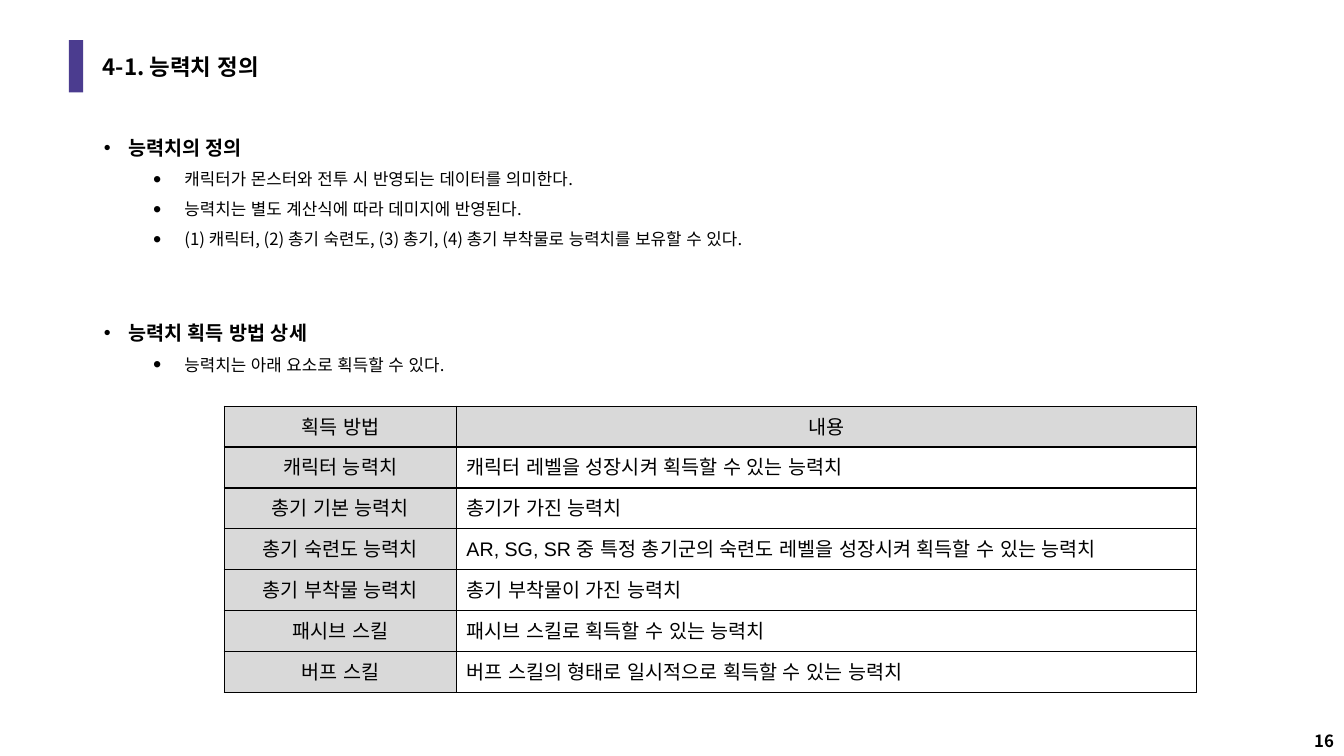
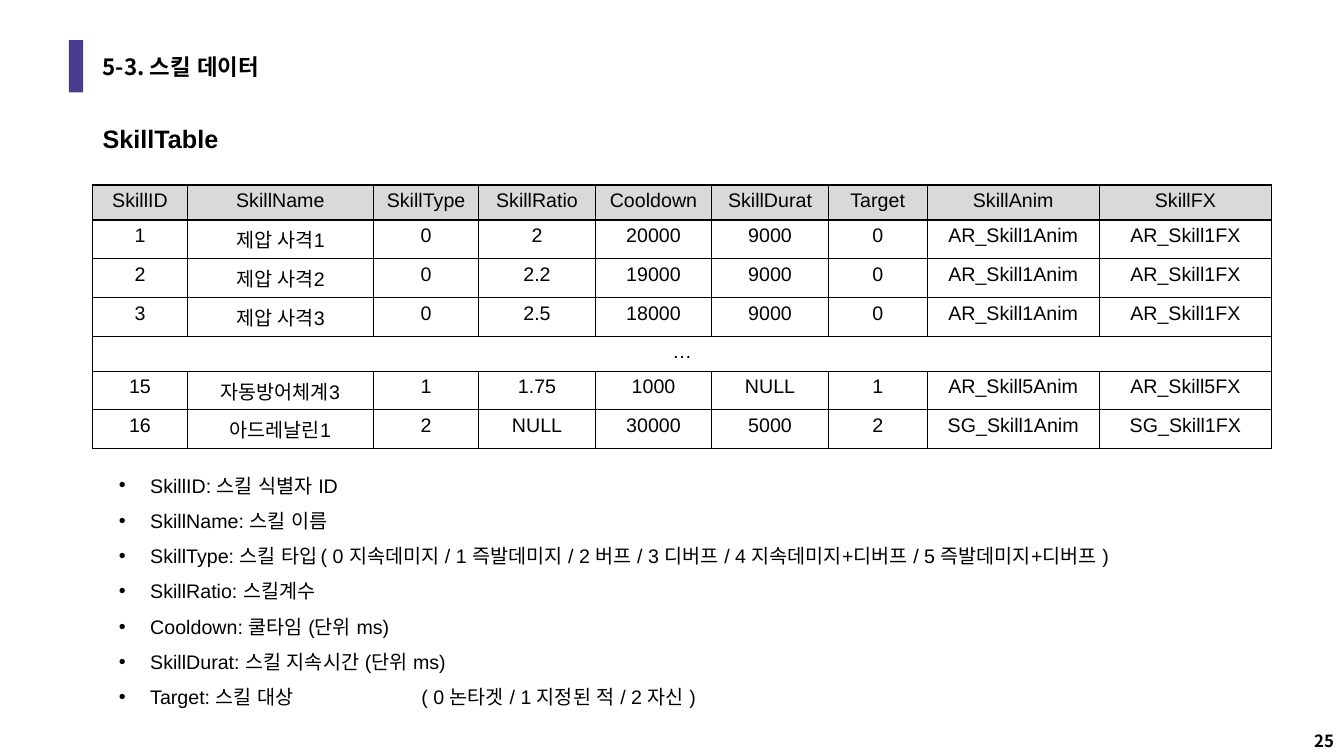
from dataclasses import dataclass
from lxml import etree
from pptx import Presentation
from pptx.dml.color import RGBColor
from pptx.enum.shapes import MSO_SHAPE
from pptx.enum.text import MSO_ANCHOR, MSO_AUTO_SIZE, PP_ALIGN
from pptx.oxml.ns import qn
from pptx.util import Emu, Inches, Pt

RECTANGLE = MSO_SHAPE.RECTANGLE
TOP, MIDDLE, BOTTOM = MSO_ANCHOR.TOP, MSO_ANCHOR.MIDDLE, MSO_ANCHOR.BOTTOM
LEFT, CENTER, RIGHT = PP_ALIGN.LEFT, PP_ALIGN.CENTER, PP_ALIGN.RIGHT
NO_FIT = MSO_AUTO_SIZE.NONE
TITLE_AND_CONTENT = 1


@dataclass(frozen=True)
class Theme:
    """Colours, fonts, type sizes and shared places in percent of the slide."""
    ink: str = "000000"
    accent: str = "4B3C8F"
    header: str = "D9D9D9"
    korean: str = "Noto Sans CJK KR"
    latin: str = "Arial"
    title: int = 20
    subtitle: int = 18
    text: int = 14
    small: int = 12
    bar_at: tuple = (5.13, 5.33, 1.05, 6.9)
    title_at: tuple = (6.9, 5.33, 86.27, 6.93)
    page_at: tuple = (93.1, 94.67, 6.9, 5.33)


THEME = Theme()
HEADING = {"size": THEME.text, "font": THEME.korean, "bold": True,
           "indent": (0.25, -0.24), "spacing": {"line_spacing": 1.5}}
DETAIL = {"size": THEME.small, "font": THEME.korean, "level": 1, "bullet_size": 140,
          "indent": (0.81, -0.31), "spacing": {"space_before": Pt(7)}}
FIELD = {"size": THEME.text, "font": THEME.latin,
         "indent": (0.31, -0.31), "spacing": {"line_spacing": 1.5, "space_before": Pt(0)}}
LATER_HEADING = HEADING | {"spacing": {"line_spacing": 1.5, "space_before": Pt(43)}}

DEFINITION = [
    ("능력치의 정의", HEADING),
    ("캐릭터가 몬스터와 전투 시 반영되는 데이터를 의미한다.", DETAIL),
    ("능력치는 별도 계산식에 따라 데미지에 반영된다.", DETAIL),
    ("(1) 캐릭터, (2) 총기 숙련도, (3) 총기, (4) 총기 부착물로 능력치를 보유할 수 있다.", DETAIL),
    ("능력치 획득 방법 상세", LATER_HEADING),
    ("능력치는 아래 요소로 획득할 수 있다.", DETAIL),
]
METHODS = [
    ("획득 방법", "내용"),
    ("캐릭터 능력치", "캐릭터 레벨을 성장시켜 획득할 수 있는 능력치"),
    ("총기 기본 능력치", "총기가 가진 능력치"),
    ("총기 숙련도 능력치", "AR, SG, SR 중 특정 총기군의 숙련도 레벨을 성장시켜 획득할 수 있는 능력치"),
    ("총기 부착물 능력치", "총기 부착물이 가진 능력치"),
    ("패시브 스킬", "패시브 스킬로 획득할 수 있는 능력치"),
    ("버프 스킬", "버프 스킬의 형태로 일시적으로 획득할 수 있는 능력치"),
]
SKILLS = [
    ("SkillID", "SkillName", "SkillType", "SkillRatio", "Cooldown", "SkillDurat",
     "Target", "SkillAnim", "SkillFX"),
    ("1", "제압 사격1", "0", "2", "20000", "9000", "0", "AR_Skill1Anim", "AR_Skill1FX"),
    ("2", "제압 사격2", "0", "2.2", "19000", "9000", "0", "AR_Skill1Anim", "AR_Skill1FX"),
    ("3", "제압 사격3", "0", "2.5", "18000", "9000", "0", "AR_Skill1Anim", "AR_Skill1FX"),
    ("…",),
    ("15", "자동방어체계3", "1", "1.75", "1000", "NULL", "1", "AR_Skill5Anim", "AR_Skill5FX"),
    ("16", "아드레날린1", "2", "NULL", "30000", "5000", "2", "SG_Skill1Anim", "SG_Skill1FX"),
]
FIELDS = [
    "SkillID: 스킬 식별자 ID",
    "SkillName: 스킬 이름",
    "SkillType: 스킬 타입\t( 0 지속데미지 / 1 즉발데미지 / 2 버프 / 3 디버프 / "
    "4 지속데미지+디버프 / 5 즉발데미지+디버프 )",
    "SkillRatio: 스킬계수",
    "Cooldown: 쿨타임 (단위 ms)",
    "SkillDurat: 스킬 지속시간 (단위 ms)",
    "Target: 스킬 대상\t\t( 0 논타겟 / 1 지정된 적 / 2 자신 )",
]


def across(deck, share):
    """Turn a percentage of the slide width into a length."""
    return Emu(round(deck.slide_width * share / 100))


def down(deck, share):
    """Turn a percentage of the slide height into a length."""
    return Emu(round(deck.slide_height * share / 100))


def area(deck, at):
    """Turn left, top, width and height percentages into lengths."""
    left, top, width, height = at
    return across(deck, left), down(deck, top), across(deck, width), down(deck, height)


def set_all(target, values):
    """Set each named attribute of the target."""
    for name, value in values.items():
        setattr(target, name, value)


def move(deck, shape, at):
    """Place a shape on the percentage grid."""
    set_all(shape, dict(zip(("left", "top", "width", "height"), area(deck, at))))


def write(para, text, size, font, bold=False):
    """Add one formatted run to a paragraph and return it."""
    span = para.add_run()
    span.text = text
    set_all(span.font, {"size": Pt(size), "name": font, "bold": bold})
    span.font.color.rgb = RGBColor.from_string(THEME.ink)
    props = span._r.get_or_add_rPr()
    props.set("lang", "ko-KR")
    etree.SubElement(props, qn("a:ea"), typeface=THEME.korean)
    return span


def add_fill(parent, colour):
    """Append a solid colour to an XML element."""
    fill = etree.SubElement(parent, qn("a:solidFill"))
    etree.SubElement(fill, qn("a:srgbClr"), val=colour)


def add_bullet(para, indent, size=100):
    """Give a paragraph a round bullet, a hanging indent and one-inch tabs."""
    props = para._p.get_or_add_pPr()
    for name, length in zip(("marL", "indent", "defTabSz"), (*indent, 1)):
        props.set(name, str(Inches(length)))
    colour = etree.SubElement(props, qn("a:buClr"))
    etree.SubElement(colour, qn("a:srgbClr"), val=THEME.ink)
    etree.SubElement(props, qn("a:buSzPct"), val=str(size * 1000))
    etree.SubElement(props, qn("a:buFont"), typeface=THEME.latin)
    etree.SubElement(props, qn("a:buChar"), char="•")


def add_label(deck, page, text, at, size, font, align=LEFT, anchor=TOP):
    """Add a bold one-line text box."""
    box = page.shapes.add_textbox(*area(deck, at))
    set_all(box.text_frame, {"word_wrap": True, "vertical_anchor": anchor})
    para = box.text_frame.paragraphs[0]
    para.alignment = align
    write(para, text, size, font, True)


def add_page(deck, title, number):
    """Add a page with its accent bar, title and page number."""
    page = deck.slides.add_slide(deck.slide_layouts[TITLE_AND_CONTENT])
    bar = page.shapes.add_shape(RECTANGLE, *area(deck, THEME.bar_at))
    bar.shadow.inherit = False
    bar.fill.solid()
    bar.fill.fore_color.rgb = RGBColor.from_string(THEME.accent)
    bar.line.fill.background()
    heading = page.shapes.title
    move(deck, heading, THEME.title_at)
    set_all(heading.text_frame, {"vertical_anchor": MIDDLE, "auto_size": NO_FIT})
    para = heading.text_frame.paragraphs[0]
    set_all(para, {"alignment": LEFT, "line_spacing": 0.9})
    span = write(para, title, THEME.title, THEME.korean, True)
    span._r.get_or_add_rPr().set("cap", "small")
    add_label(deck, page, number, THEME.page_at, THEME.small, THEME.korean, RIGHT, BOTTOM)
    return page


def fill_list(deck, page, at, items):
    """Fill the body placeholder with bulleted paragraphs."""
    body = page.placeholders[1]
    move(deck, body, at)
    frame = body.text_frame
    set_all(frame, {"word_wrap": True, "auto_size": NO_FIT, "vertical_anchor": TOP})
    for index, (text, style) in enumerate(items):
        para = frame.add_paragraph() if index else frame.paragraphs[0]
        para.level = style.get("level", 0)
        set_all(para, style["spacing"])
        add_bullet(para, style["indent"], style.get("bullet_size", 100))
        write(para, text, style["size"], style["font"], style.get("bold", False))


def format_cell(cell, shaded):
    """Give a cell its borders and its fill."""
    props = cell._tc.get_or_add_tcPr()
    for side in ("lnL", "lnR", "lnT", "lnB"):
        add_fill(etree.SubElement(props, qn(f"a:{side}"), w=str(Pt(1))), THEME.ink)
    if shaded:
        cell.fill.solid()
        cell.fill.fore_color.rgb = RGBColor.from_string(THEME.header)
    else:
        cell.fill.background()


def add_grid(deck, page, corner, columns, heights, rows, row_headers=False):
    """Add a bordered table; a row with one value spans all columns."""
    at = (*corner, sum(columns), sum(heights))
    table = page.shapes.add_table(len(rows), len(columns), *area(deck, at)).table
    set_all(table, {"first_row": False, "horz_banding": False})
    for column, share in zip(table.columns, columns):
        column.width = across(deck, share)
    for top, values in enumerate(rows):
        table.rows[top].height = down(deck, heights[top])
        for left in range(len(columns)):
            format_cell(table.cell(top, left), top == 0 or (row_headers and left == 0))
        if len(values) == 1:
            table.cell(top, 0).merge(table.cell(top, len(columns) - 1))
        for left, text in enumerate(values):
            para = table.cell(top, left).text_frame.paragraphs[0]
            para.alignment = LEFT if row_headers and top and left else CENTER
            write(para, text, THEME.text, THEME.latin)


def add_ability_page(deck):
    """Build the page that defines abilities."""
    page = add_page(deck, "4-1. 능력치 정의", "16")
    fill_list(deck, page, (6.9, 15.73, 86.27, 44.13), DEFINITION)
    heights = [5.41] * len(METHODS)
    add_grid(deck, page, (16.68, 53.73), (17.28, 55.06), heights, METHODS, row_headers=True)


def add_skill_page(deck):
    """Build the page that lists the skill data."""
    page = add_page(deck, "5-3. 스킬 데이터", "25")
    columns = (7.04, 13.85, 7.84, 8.67, 8.67, 8.67, 7.36, 12.81, 12.81)
    heights = [5.12 if row[0].isdigit() else 4.63 for row in SKILLS]
    add_grid(deck, page, (6.9, 24.48), columns, heights, SKILLS)
    add_label(deck, page, "SkillTable", (6.9, 15.6, 12, 5.33), THEME.subtitle, THEME.latin)
    fill_list(deck, page, (8.1, 60.4, 86.87, 33.73), [(text, FIELD) for text in FIELDS])


def main():
    """Build and save the deck."""
    deck = Presentation()
    set_all(deck, {"slide_width": Inches(13.33), "slide_height": Inches(7.5)})
    add_ability_page(deck)
    add_skill_page(deck)
    deck.save("out.pptx")


if __name__ == "__main__":
    main()
